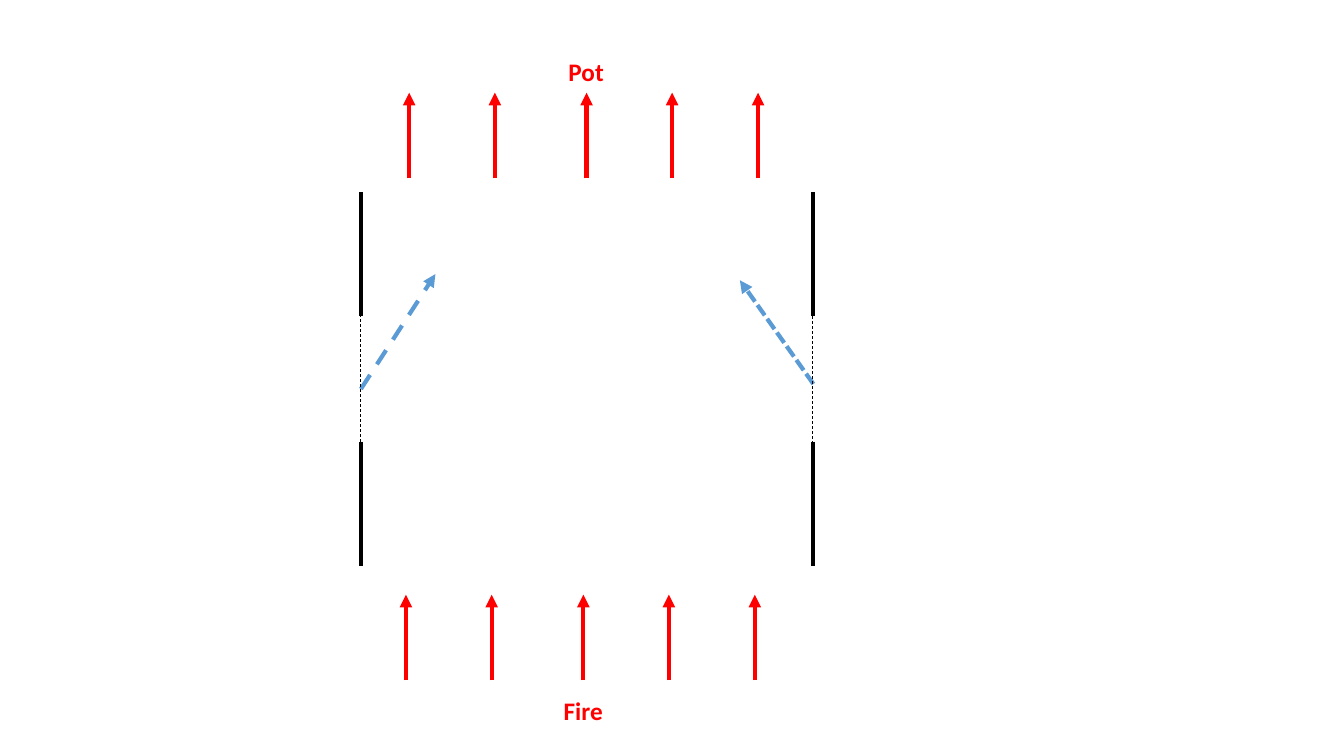
import pptx
import pptx.dml.color
import pptx.enum.dml
import pptx.enum.shapes
import pptx.enum.text
import pptx.oxml.ns
import pptx.util
from lxml import etree

Pt = pptx.util.Pt
RGBColor = pptx.dml.color.RGBColor
Dash = pptx.enum.dml.MSO_LINE

BLACK = RGBColor(0x00, 0x00, 0x00)
RED = RGBColor(0xFF, 0x00, 0x00)
BLUE = RGBColor(0x5B, 0x9B, 0xD5)

# Lengths in points
LEFT_WALL, RIGHT_WALL = 257.8, 581
WALL_SPANS = [(137.5, 226), (315.4, 404.6)]
ARROW_OFFSETS = [0, 61.2, 126.7, 187.8, 249.2]
ARROW_LENGTH = 61.2


class Diagram:
    """Holds the text style and the current slide."""

    def __init__(self, slide):
        self.slide = slide
        self.label_format = {"name": "Calibri", "size": Pt(18), "bold": True}

    def line(self, start, end, color, width=3, dash=None, arrow=False):
        connector = self.slide.shapes.add_connector(
            pptx.enum.shapes.MSO_CONNECTOR.STRAIGHT,
            *(Pt(length) for length in (*start, *end)))
        connector.line.color.rgb = color
        line_format = {"width": Pt(width), "dash_style": dash}
        for name, value in line_format.items():
            setattr(connector.line, name, value)
        qn = pptx.oxml.ns.qn
        properties = connector._element.spPr
        if arrow:
            outline = properties.find(qn("a:ln"))
            etree.SubElement(outline, qn("a:tailEnd"), type="triangle")
        etree.SubElement(properties, qn("a:effectLst"))

    def arrow_row(self, left, bottom):
        for offset in ARROW_OFFSETS:
            x = left + offset
            self.line((x, bottom), (x, bottom - ARROW_LENGTH), RED, arrow=True)

    def label(self, text, left, top, width=51.1, height=29):
        box = self.slide.shapes.add_textbox(
            Pt(left), Pt(top), Pt(width), Pt(height))
        frame = box.text_frame
        frame.word_wrap = True
        frame.auto_size = pptx.enum.text.MSO_AUTO_SIZE.SHAPE_TO_FIT_TEXT
        paragraph = frame.paragraphs[0]
        paragraph.alignment = pptx.enum.text.PP_ALIGN.CENTER
        run = paragraph.add_run()
        run.text = text
        for name, value in self.label_format.items():
            setattr(run.font, name, value)
        run.font.color.rgb = RED


def main():
    presentation = pptx.Presentation()
    presentation.slide_width, presentation.slide_height = Pt(960), Pt(540)
    slide = presentation.slides.add_slide(presentation.slide_layouts[6])
    diagram = Diagram(slide)

    # Solid wall pieces
    for wall in (LEFT_WALL, RIGHT_WALL):
        for top, bottom in WALL_SPANS:
            diagram.line((wall, top), (wall, bottom), BLACK)

    # Heat rising to the pot and from the fire
    diagram.arrow_row(292.3, 127.4)
    diagram.arrow_row(290, 486)
    diagram.label("Fire", 391, 493.2)
    diagram.label("Pot", 393.1, 36.7)

    # Air entering through the openings
    diagram.line((LEFT_WALL, 277.9), (311, 195.8), BLUE,
                 dash=Dash.DASH, arrow=True)
    diagram.line((RIGHT_WALL, 274.3), (528.5, 200.2), BLUE,
                 dash=Dash.SQUARE_DOT, arrow=True)

    # Dashed openings in the walls
    for x, top in ((RIGHT_WALL - 0.5, 226), (LEFT_WALL - 0.5, 221)):
        diagram.line((x, top), (x, top + 95), BLACK, 0.5, Dash.DASH)

    presentation.save("out.pptx")


if __name__ == "__main__":
    main()
